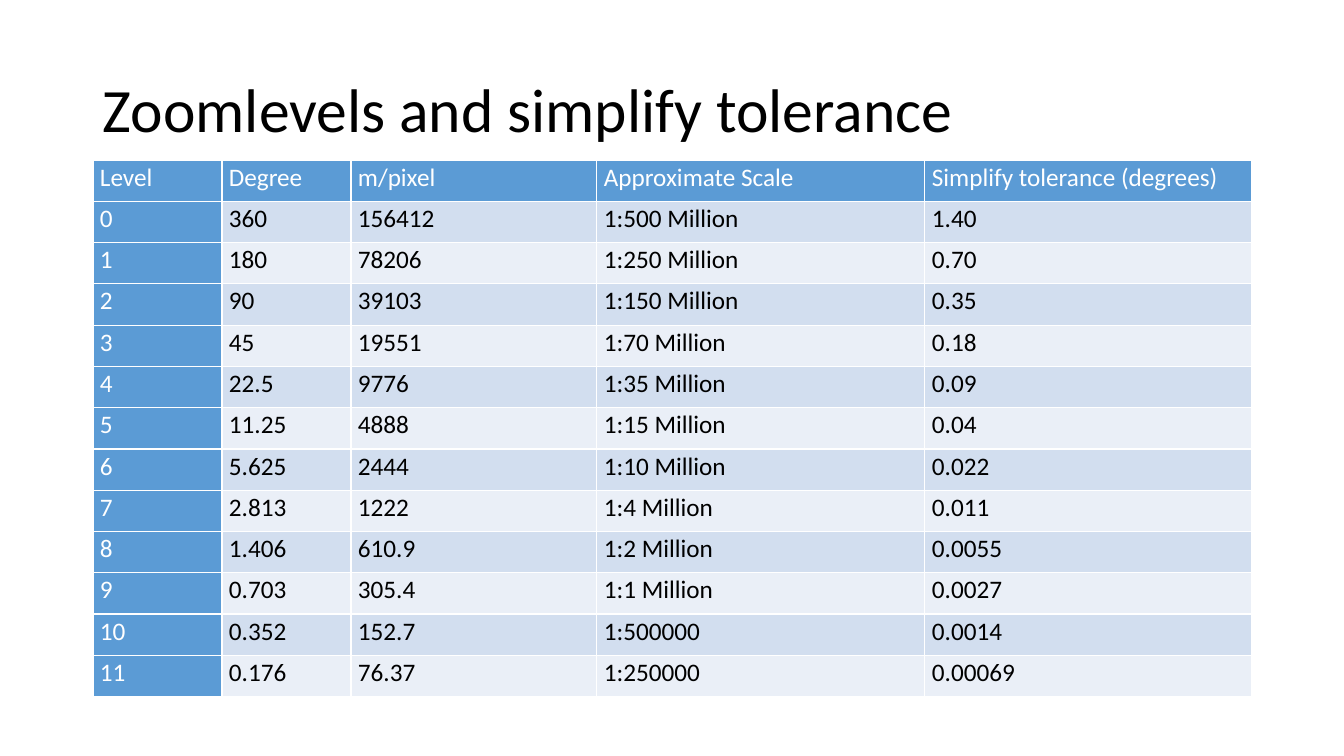
from lxml.etree import SubElement
from pptx import Presentation
from pptx.dml.color import RGBColor
from pptx.enum.text import MSO_ANCHOR
from pptx.oxml.ns import qn
from pptx.util import Emu, Pt

EMU_PER_PIXEL = 914400 / 100.8
FONT = "Calibri"
BLACK = RGBColor(0x00, 0x00, 0x00)
WHITE = RGBColor(0xFF, 0xFF, 0xFF)
HEADER_BLUE = RGBColor(0x5B, 0x9B, 0xD5)
BAND_DARK = RGBColor(0xD2, 0xDE, 0xEF)
BAND_LIGHT = RGBColor(0xEA, 0xEF, 0xF7)

LEFT, CONTENT_WIDTH = 93, 1159
COLUMN_WIDTHS = (129, 129, 246, 328, 327)
ZOOM_LEVELS = (
    ("Level", "Degree", "m/pixel", "Approximate Scale", "Simplify tolerance (degrees)"),
    ("0", "360", "156412", "1:500 Million", "1.40"),
    ("1", "180", "78206", "1:250 Million", "0.70"),
    ("2", "90", "39103", "1:150 Million", "0.35"),
    ("3", "45", "19551", "1:70 Million", "0.18"),
    ("4", "22.5", "9776", "1:35 Million", "0.09"),
    ("5", "11.25", "4888", "1:15 Million", "0.04"),
    ("6", "5.625", "2444", "1:10 Million", "0.022"),
    ("7", "2.813", "1222", "1:4 Million", "0.011"),
    ("8", "1.406", "610.9", "1:2 Million", "0.0055"),
    ("9", "0.703", "305.4", "1:1 Million", "0.0027"),
    ("10", "0.352", "152.7", "1:500000", "0.0014"),
    ("11", "0.176", "76.37", "1:250000", "0.00069"),
)


def px(pixels):
    """Turn pixels into EMU."""
    return Emu(round(pixels * EMU_PER_PIXEL))


def write(text_frame, text, size, color, line_spacing):
    """Set one formatted paragraph of text."""
    text_frame.text = text
    paragraph = text_frame.paragraphs[0]
    paragraph.line_spacing = line_spacing
    font = paragraph.runs[0].font
    font.name = FONT
    font.size = Pt(size)
    font.bold = False
    font.color.rgb = color


def add_title(slide, text):
    """Add the slide heading."""
    heading = slide.shapes.add_textbox(px(LEFT), px(40), px(CONTENT_WIDTH), px(146)).text_frame
    heading.word_wrap = True
    heading.vertical_anchor = MSO_ANCHOR.MIDDLE
    write(heading, text, 44, BLACK, 0.9)


def add_borders(cell, color, width):
    """Draw a line along all four sides of a cell."""
    properties = cell._tc.get_or_add_tcPr()
    for side in ("a:lnL", "a:lnR", "a:lnT", "a:lnB"):
        line = SubElement(properties, qn(side), w=str(Pt(width)))
        SubElement(SubElement(line, qn("a:solidFill")), qn("a:srgbClr"), val=str(color))


def style_cell(cell, text, text_color, fill_color):
    """Fill in one table cell."""
    cell.margin_left = cell.margin_right = px(7)
    cell.margin_top = cell.margin_bottom = 0
    write(cell.text_frame, text, 18, text_color, 1.07)
    add_borders(cell, WHITE, 1)
    cell.fill.solid()
    cell.fill.fore_color.rgb = fill_color


def add_zoom_table(slide, records):
    """Add the table with header row, header column and banded body."""
    table = slide.shapes.add_table(
        len(records), len(COLUMN_WIDTHS), px(LEFT), px(160), px(CONTENT_WIDTH), px(537)
    ).table
    table.first_col = True
    table.horz_banding = False
    for column, width in zip(table.columns, COLUMN_WIDTHS):
        column.width = px(width)
    for row_index, record in enumerate(records):
        band = BAND_DARK if row_index % 2 else BAND_LIGHT
        for column_index, text in enumerate(record):
            is_header = row_index == 0 or column_index == 0
            colors = (WHITE, HEADER_BLUE) if is_header else (BLACK, band)
            style_cell(table.cell(row_index, column_index), text, *colors)


def main():
    """Build and save the zoom level slide."""
    presentation = Presentation()
    presentation.slide_width = px(1344)
    presentation.slide_height = px(756)
    slide = presentation.slides.add_slide(presentation.slide_layouts[6])
    add_title(slide, "Zoomlevels and simplify tolerance")
    add_zoom_table(slide, ZOOM_LEVELS)
    presentation.save("out.pptx")


main()
